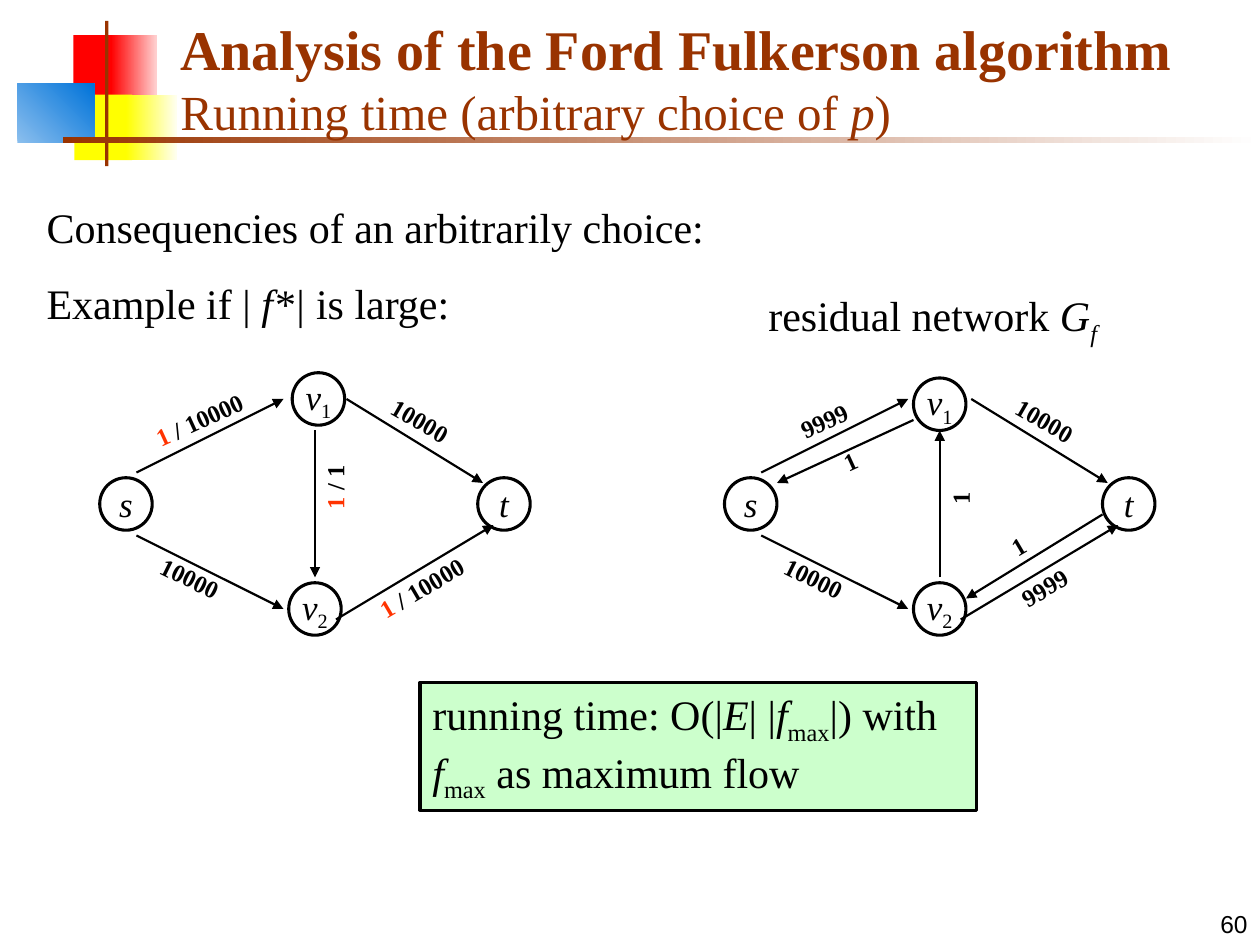
from lxml.etree import SubElement
from pptx import Presentation
from pptx.dml.color import RGBColor
from pptx.enum.shapes import MSO_CONNECTOR, MSO_SHAPE
from pptx.enum.text import MSO_ANCHOR, PP_ALIGN
from pptx.oxml.ns import qn
from pptx.util import Pt

THEME = {
    "ink": "000000", "flow": "FF3300", "brown": "993300", "paper": "FFFFFF", "result": "CCFFCC",
    "serif": "Times New Roman", "sans": "Arial",
    "title": 32, "subtitle": 28, "body": 24, "node": 20, "label": 14,
    "outline": 1.75, "edge": 1.25,
}

DECORATION = [
    ((42, 20, 25, 37.5), ["FF0000"], 0),
    ((63.5, 20, 26, 37.5), ["FF0000", "FFD1D1"], 0),
    ((42.5, 54, 33, 37.5), ["FFFF00"], 0),
    ((72, 54, 29, 37.5), ["FFFF00", "FFFFF0"], 0),
    ((10, 48, 44, 33.5), ["8BBFEE", "0073D9"], 45),
    ((60, 12, 2, 83), [THEME["brown"]], 0),
    ((36, 78, 684, 3.5), [THEME["brown"], THEME["paper"]], 0),
]

TITLE = [("Analysis of the Ford Fulkerson algorithm", "title bold"), ("\n", ""),
         ("Running time (arbitrary choice of ", "subtitle"),
         ("p", "subtitle italic"), (")", "subtitle")]
INTRO = [
    [("Consequencies of an arbitrarily choice:", "")],
    [("Example if | ", ""), ("f*|", "italic"), (" is large:", "")],
]
RESIDUAL = [("residual network ", ""), ("G", "italic"), ("f", "italic sub")]
MAX_FLOW = [("f", "italic"), ("max", "sub")]
RESULT = [("running time: O(|", ""), ("E", "italic"), ("| |", ""), *MAX_FLOW,
          ("|) with ", ""), *MAX_FLOW, (" as maximum flow", "")]

NODE_SIZE = 30
LABEL_HEIGHT = 24.5
RISING_LEFT, FALLING_RIGHT, FALLING_LEFT, RISING_RIGHT, UPRIGHT = 335.4, 29.9, 26.2, 329.5, 270
OUTER_NODES = [("t", "", 273, 273), ("v", "2", 165, 333), ("s", "", 57, 273)]
OUTER_EDGES = [
    ((198, 228), (276, 276)), ((78, 306), (162, 348)),
    ((78, 270), (162, 228)), ((192, 354), (282, 300)),
]
MIDDLE_TOP, MIDDLE_BOTTOM = (180, 246), (180, 330)

GRAPHS = [
    {
        "left": 0,
        "nodes": OUTER_NODES + [("v", "1", 167, 213)],
        "edges": OUTER_EDGES + [(MIDDLE_TOP, MIDDLE_BOTTOM)],
        "labels": [
            ("1", " / 10000", 114, 240, 89, RISING_LEFT),
            ("", "10000", 240, 240.5, 95, FALLING_RIGHT),
            ("", "10000", 108.5, 330.5, 98, FALLING_LEFT),
            ("1", " / 10000", 241, 336, 98, RISING_RIGHT),
            ("1", " / 1", 191.5, 278.5, 42, UPRIGHT),
        ],
    },
    {
        "left": 357,
        "nodes": OUTER_NODES + [("v", "1", 165, 216)],
        "edges": OUTER_EDGES + [(MIDDLE_BOTTOM, MIDDLE_TOP),
                                ((273, 294), (195, 342)), ((165, 240), (87, 276))],
        "labels": [
            ("", "9999", 114, 240.5, 72, RISING_LEFT),
            ("", "10000", 240, 240.5, 72, FALLING_RIGHT),
            ("", "10000", 108, 330.5, 72, FALLING_LEFT),
            ("", "9999", 240, 336, 72, RISING_RIGHT),
            ("", "1", 192, 285, 30, UPRIGHT),
            ("", "1", 225, 312.5, 72, RISING_RIGHT),
            ("", "1", 129, 264, 72, RISING_LEFT),
        ],
    },
]


def color(name):
    return RGBColor.from_string(THEME.get(name, name))


def write(shape, paragraphs, size, ink="ink", face="serif", align=PP_ALIGN.LEFT,
          anchor=MSO_ANCHOR.TOP, wrap=True, bold=None):
    frame = shape.text_frame
    frame.word_wrap = wrap
    frame.vertical_anchor = anchor
    for index, spans in enumerate(paragraphs):
        para = frame.add_paragraph() if index else frame.paragraphs[0]
        para.alignment = align
        if index:
            para.space_before = Pt(15)
        para.font.name = THEME[face]
        para.font.size = Pt(THEME[size])
        para.font.color.rgb = color(ink)
        para.font.bold = bold
        for text, style in spans:
            if text == "\n":
                para.add_line_break()
                continue
            span = para.add_run()
            span.text = text
            for word in style.split():
                if word == "italic":
                    span.font.italic = True
                elif word == "bold":
                    span.font.bold = True
                elif word == "sub":
                    span.font._element.set("baseline", "-25000")
                elif word == "flow":
                    span.font.color.rgb = color(word)
                else:
                    span.font.size = Pt(THEME[word])


def add_box(page, place, paragraphs, size, **options):
    box = page.shapes.add_textbox(*map(Pt, place))
    write(box, paragraphs, size, **options)
    return box


def add_figure(page, kind, place, fills, angle=0, outlined=False):
    figure = page.shapes.add_shape(kind, *map(Pt, place))
    figure.shadow.inherit = False
    if len(fills) == 1:
        figure.fill.solid()
        figure.fill.fore_color.rgb = color(fills[0])
    else:
        figure.fill.gradient()
        figure.fill.gradient_angle = angle
        for stop, shade in zip(figure.fill.gradient_stops, fills):
            stop.color.rgb = color(shade)
    if outlined:
        figure.line.color.rgb = color("ink")
        figure.line.width = Pt(THEME["outline"])
    else:
        figure.line.fill.background()
    return figure


def add_arrow(page, left, start, end):
    arrow = page.shapes.add_connector(
        MSO_CONNECTOR.STRAIGHT, Pt(left + start[0]), Pt(start[1]), Pt(left + end[0]), Pt(end[1]))
    arrow.line.color.rgb = color("ink")
    arrow.line.width = Pt(THEME["edge"])
    SubElement(arrow.line._get_or_add_ln(), qn("a:tailEnd"), type="triangle")
    SubElement(arrow._element.spPr, qn("a:effectLst"))


def add_graph(page, graph):
    left = graph["left"]
    for name, subscript, x, y in graph["nodes"]:
        node = add_figure(page, MSO_SHAPE.OVAL, (left + x, y, NODE_SIZE, NODE_SIZE),
                          ["paper"], outlined=True)
        spans = [(name, "italic")] + ([(subscript, "sub")] if subscript else [])
        write(node, [spans], "node", align=PP_ALIGN.CENTER, anchor=MSO_ANCHOR.MIDDLE, wrap=False)
    for start, end in graph["edges"]:
        add_arrow(page, left, start, end)
    for flow, capacity, x, y, width, angle in graph["labels"]:
        spans = ([(flow, "flow")] if flow else []) + [(capacity, "")]
        place = (left + x - width / 2, y - LABEL_HEIGHT / 2, width, LABEL_HEIGHT)
        label = add_box(page, place, [spans], "label", align=PP_ALIGN.CENTER, bold=True)
        label.rotation = angle


def main():
    deck = Presentation()
    deck.slide_width, deck.slide_height = Pt(720), Pt(540)
    page = deck.slides.add_slide(deck.slide_layouts[6])
    for place, fills, angle in DECORATION:
        add_figure(page, MSO_SHAPE.RECTANGLE, place, fills, angle)
    add_box(page, (570, 504, 150, 36), [[("60", "")]], "label", face="sans",
            align=PP_ALIGN.RIGHT, anchor=MSO_ANCHOR.BOTTOM)
    for graph in GRAPHS:
        add_graph(page, graph)
    add_box(page, (432, 162, 206, 40), [RESIDUAL], "body")
    add_box(page, (96, 0, 613.5, 84), [TITLE], "title", ink="brown", anchor=MSO_ANCHOR.BOTTOM)
    add_box(page, (19.5, 111.5, 402.5, 80), INTRO, "body")
    result = add_figure(page, MSO_SHAPE.RECTANGLE, (240, 390, 318, 73), ["result"], outlined=True)
    write(result, [RESULT], "body")
    deck.save("out.pptx")


if __name__ == "__main__":
    main()
